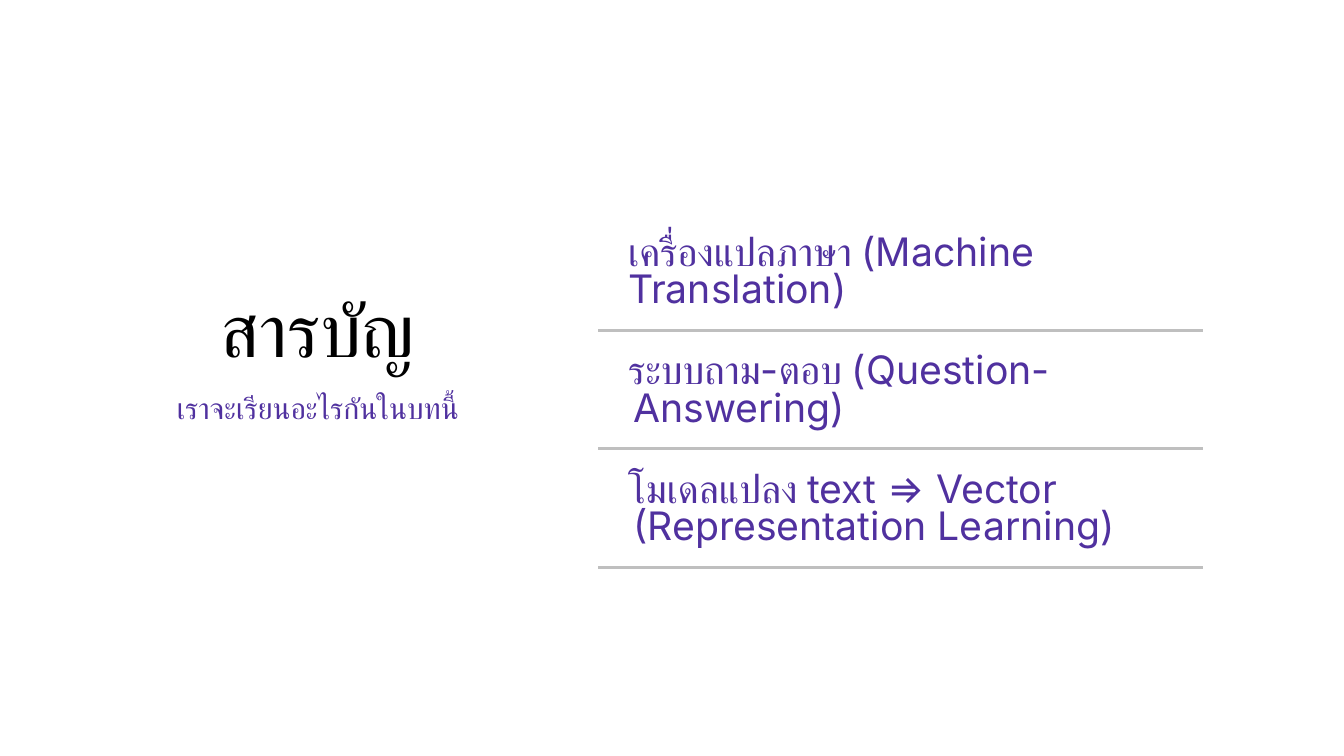
from dataclasses import dataclass

from lxml import etree
from pptx import Presentation
from pptx.dml.color import RGBColor
from pptx.enum.shapes import MSO_CONNECTOR
from pptx.enum.text import MSO_ANCHOR, PP_ALIGN
from pptx.oxml.ns import qn
from pptx.util import Pt

LEFT, CENTER = PP_ALIGN.LEFT, PP_ALIGN.CENTER
TOP, MIDDLE = MSO_ANCHOR.TOP, MSO_ANCHOR.MIDDLE
STRAIGHT = MSO_CONNECTOR.STRAIGHT


@dataclass(frozen=True)
class Theme:
    black: str = "000000"
    violet: str = "50319F"
    gray: str = "BFBFBF"
    title: int = 40
    note: int = 16
    topic: int = 21


def write(frame, text, *, size, color, font, align=LEFT, anchor=TOP,
          spacing=0.9, margin=0, indent=0):
    """Fill a text frame with one formatted paragraph."""
    frame.word_wrap = True
    frame.vertical_anchor = anchor
    frame.margin_left = frame.margin_right = Pt(5.3)
    frame.margin_top = frame.margin_bottom = Pt(2.65)
    para = frame.paragraphs[0]
    para.alignment = align
    para.line_spacing = spacing
    props = para._p.get_or_add_pPr()
    props.set("marL", str(Pt(margin)))
    props.set("indent", str(Pt(indent)))
    run = para.add_run()
    run.text = text
    run.font.size = Pt(size)
    run.font.name = font
    run.font.color.rgb = RGBColor.from_string(color)


class Deck:
    def __init__(self, theme):
        self.theme = theme
        self.file = Presentation()
        self.file.slide_width, self.file.slide_height = Pt(720), Pt(405)
        self.slide = self.file.slides.add_slide(self.file.slide_layouts[6])

    def text(self, text, left, top, width, height, **style):
        box = self.slide.shapes.add_textbox(
            Pt(left), Pt(top), Pt(width), Pt(height))
        write(box.text_frame, text, **style)

    def rule(self, left, top, width):
        line = self.slide.shapes.add_connector(
            STRAIGHT, Pt(left), Pt(top), Pt(left + width), Pt(top))
        line.line.color.rgb = RGBColor.from_string(self.theme.gray)
        line.line.width = Pt(1.5)
        etree.SubElement(line._element.spPr, qn("a:effectLst"))

    def topic(self, text, left, top, width, hang):
        """Add one entry of the contents with the rule below it."""
        self.text(text, left, top, width, 46, size=self.theme.topic,
                  color=self.theme.violet, font="Inter", spacing=0.8,
                  margin=10.8 + hang, indent=-hang)
        self.rule(left, top + 53.2, width)


def main():
    theme = Theme()
    deck = Deck(theme)
    deck.text("สารบัญ", 73.4, 148.5, 193.7, 60, size=theme.title,
              color=theme.black, font="Lato", align=CENTER, anchor=MIDDLE)
    deck.text("เราจะเรียนอะไรกันในบทนี้", 73.4, 208.5, 193.7, 26,
              size=theme.note, color=theme.violet, font="Calibri",
              align=CENTER)
    topics = [
        ("เครื่องแปลภาษา (Machine Translation)", 0),
        ("ระบบถาม-ตอบ (Question-Answering)", 2.9),
        ("โมเดลแปลง text => Vector (Representation Learning)", 2.9),
    ]
    for row, (text, hang) in enumerate(topics):
        deck.topic(text, 320.4, 123.8 + row * 63.5, 324, hang)
    deck.file.save("out.pptx")


if __name__ == "__main__":
    main()
